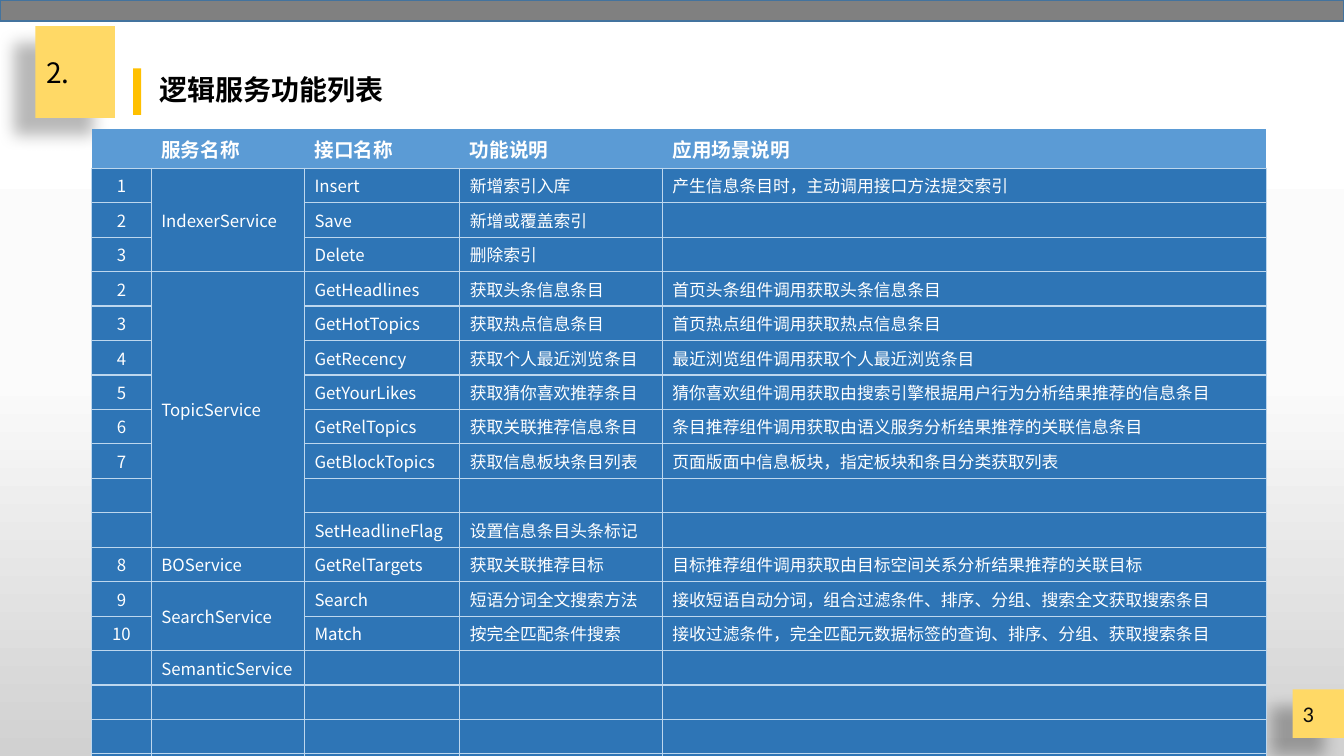
from lxml import etree
from pptx import Presentation
from pptx.dml.color import RGBColor
from pptx.enum import shapes, text
from pptx.oxml import parse_xml
from pptx.oxml.ns import nsdecls, qn
from pptx.util import Inches, Pt

COLORS = {
    "bar": "808080", "bar_line": "43739E", "tag": "FFD966", "accent": "FFC000",
    "header": "5B9BD5", "body": "2E75B6", "border": "BDD7EE",
    "white": "FFFFFF", "black": "000000", "number": "0D0D0D",
}
BACKGROUND_STOPS = [(0, "FFFFFF"), (50, "FBFBFB"), (100, "D1D1D1")]
FONT = "Noto Sans CJK SC"
COLUMN_WIDTHS = [0.59, 1.52, 1.54, 2.01, 5.99]
HEADER_HEIGHT = Inches(0.39)
BODY_HEIGHT = Inches(6.5)
HEADER = ["", "服务名称", "接口名称", "功能说明", "应用场景说明"]
# Each service lists its rows: number, interface, function, scenario.
SERVICES = [
    ("IndexerService", [
        ("1", "Insert", "新增索引入库", "产生信息条目时，主动调用接口方法提交索引"),
        ("2", "Save", "新增或覆盖索引", ""),
        ("3", "Delete", "删除索引", ""),
    ]),
    ("TopicService", [
        ("2", "GetHeadlines", "获取头条信息条目", "首页头条组件调用获取头条信息条目"),
        ("3", "GetHotTopics", "获取热点信息条目", "首页热点组件调用获取热点信息条目"),
        ("4", "GetRecency", "获取个人最近浏览条目", "最近浏览组件调用获取个人最近浏览条目"),
        ("5", "GetYourLikes", "获取猜你喜欢推荐条目",
         "猜你喜欢组件调用获取由搜索引擎根据用户行为分析结果推荐的信息条目"),
        ("6", "GetRelTopics", "获取关联推荐信息条目",
         "条目推荐组件调用获取由语义服务分析结果推荐的关联信息条目"),
        ("7", "GetBlockTopics", "获取信息板块条目列表",
         "页面版面中信息板块，指定板块和条目分类获取列表"),
        ("", "", "", ""),
        ("", "SetHeadlineFlag", "设置信息条目头条标记", ""),
    ]),
    ("BOService", [
        ("8", "GetRelTargets", "获取关联推荐目标",
         "目标推荐组件调用获取由目标空间关系分析结果推荐的关联目标"),
    ]),
    ("SearchService", [
        ("9", "Search", "短语分词全文搜索方法",
         "接收短语自动分词，组合过滤条件、排序、分组、搜索全文获取搜索条目"),
        ("10", "Match", "按完全匹配条件搜索",
         "接收过滤条件，完全匹配元数据标签的查询、排序、分组、获取搜索条目"),
    ]),
    ("SemanticService", [("", "", "", "")]),
] + [("", [("", "", "", "")])] * 4


def rgb(name):
    return RGBColor.from_string(COLORS[name])


def set_background(slide):
    stops = "".join(
        f'<a:gs pos="{position * 1000}"><a:srgbClr val="{color}"/></a:gs>'
        for position, color in BACKGROUND_STOPS)
    slide.element.cSld.insert(0, parse_xml(
        f'<p:bg {nsdecls("p", "a")}><p:bgPr><a:gradFill>'
        f'<a:gsLst>{stops}</a:gsLst><a:lin ang="5400000" scaled="1"/></a:gradFill>'
        '<a:effectLst/></p:bgPr></p:bg>'))


def add_rectangle(slide, box, fill, line=None):
    shape = slide.shapes.add_shape(
        shapes.MSO_SHAPE.RECTANGLE, *(Inches(length) for length in box))
    shape.shadow.inherit = False
    shape.fill.solid()
    shape.fill.fore_color.rgb = rgb(fill)
    if line:
        shape.line.color.rgb = rgb(line)
        shape.line.width = Pt(1)
    else:
        shape.line.fill.background()
    return shape


def add_tag(slide, box):
    """Add a yellow note with a soft shadow at its lower left."""
    shape = add_rectangle(slide, box, "tag")
    effects = shape._element.spPr.find(qn("a:effectLst"))
    effects.append(parse_xml(
        f'<a:outerShdw {nsdecls("a")} blurRad="{Pt(11.8)}" dist="{Pt(19.7)}" '
        f'dir="{141 * 60000}" algn="ctr" rotWithShape="0">'
        f'<a:srgbClr val="{COLORS["black"]}"><a:alpha val="28000"/></a:srgbClr>'
        '</a:outerShdw>'))


def set_east_asian_font(properties, name):
    etree.SubElement(properties, qn("a:ea")).set("typeface", name)


def format_run(run, size, color, bold=False, font=FONT):
    run.font.size = Pt(size)
    run.font.bold = bold
    run.font.name = font
    run.font.color.rgb = rgb(color)
    set_east_asian_font(run.font._element, font)


def add_text(slide, box, content, size, color, bold=False, font=FONT, wrap=True):
    shape = slide.shapes.add_textbox(*(Inches(length) for length in box))
    frame = shape.text_frame
    frame.word_wrap = wrap
    frame.text = content
    format_run(frame.paragraphs[0].runs[0], size, color, bold, font)
    return frame.paragraphs[0]


def add_heading(slide, box, content, bold=False):
    paragraph = add_text(slide, box, content, 20, "black", bold)
    paragraph.line_spacing = 0.9
    paragraph.space_before = Pt(10)


def set_borders(cell, visible_sides):
    properties = cell._tc.get_or_add_tcPr()
    solid = f'<a:solidFill><a:srgbClr val="{COLORS["border"]}"/></a:solidFill>'
    for index, side in enumerate("LRTB"):
        paint = solid if side in visible_sides else "<a:noFill/>"
        properties.insert(index, parse_xml(
            f'<a:ln{side} {nsdecls("a")} w="{Pt(1)}">{paint}</a:ln{side}>'))


def fill_cell(cell, content, fill, size, bold, sides):
    cell.fill.solid()
    cell.fill.fore_color.rgb = rgb(fill)
    cell.vertical_anchor = text.MSO_ANCHOR.MIDDLE
    set_borders(cell, sides)
    paragraph = cell.text_frame.paragraphs[0]
    if content:
        paragraph.text = content
        format_run(paragraph.runs[0], size, "white", bold)
    else:
        # An empty cell takes its line height from the end mark.
        mark = etree.SubElement(paragraph._p, qn("a:endParaRPr"))
        mark.set("sz", str(size * 100))
        etree.SubElement(mark, qn("a:latin")).set("typeface", FONT)
        set_east_asian_font(mark, FONT)
    return paragraph


def add_service_table(slide):
    body_count = sum(len(rows) for _, rows in SERVICES)
    frame = slide.shapes.add_table(
        body_count + 1, len(HEADER), Inches(0.91), Inches(1.28),
        Inches(11.65), HEADER_HEIGHT + BODY_HEIGHT)
    table = frame.table
    for column, width in zip(table.columns, COLUMN_WIDTHS):
        column.width = Inches(width)
    for index, row in enumerate(table.rows):
        row.height = BODY_HEIGHT // body_count if index else HEADER_HEIGHT

    for column, title in enumerate(HEADER):
        fill_cell(table.cell(0, column), title, "header", 14, True, "B")
    top = 1
    for service, rows in SERVICES:
        for offset, (number, *details) in enumerate(rows):
            values = [number, "" if offset else service, *details]
            for column, value in enumerate(values):
                paragraph = fill_cell(
                    table.cell(top + offset, column), value, "body", 12, False, "LRTB")
                if column == 0:
                    paragraph.alignment = text.PP_ALIGN.CENTER
        if len(rows) > 1:
            table.cell(top, 1).merge(table.cell(top + len(rows) - 1, 1))
        top += len(rows)


def main():
    presentation = Presentation()
    presentation.slide_width = Inches(13.33)
    presentation.slide_height = Inches(7.5)
    slide = presentation.slides.add_slide(presentation.slide_layouts[6])
    set_background(slide)
    add_rectangle(slide, (0, 0, 13.33, 0.21), "bar", "bar_line")
    add_tag(slide, (0.35, 0.26, 0.79, 0.91))
    add_tag(slide, (12.82, 6.84, 0.52, 0.48))
    add_text(slide, (12.82, 6.9, 0.52, 0.37), "3", 16, "number",
             font="Calibri", wrap=False)
    add_rectangle(slide, (1.32, 0.68, 0.08, 0.46), "accent")
    add_heading(slide, (0.36, 0.54, 0.77, 0.42), "2.")
    add_heading(slide, (1.48, 0.71, 2.85, 0.41), "逻辑服务功能列表", bold=True)
    add_service_table(slide)
    presentation.save("out.pptx")


if __name__ == "__main__":
    main()
